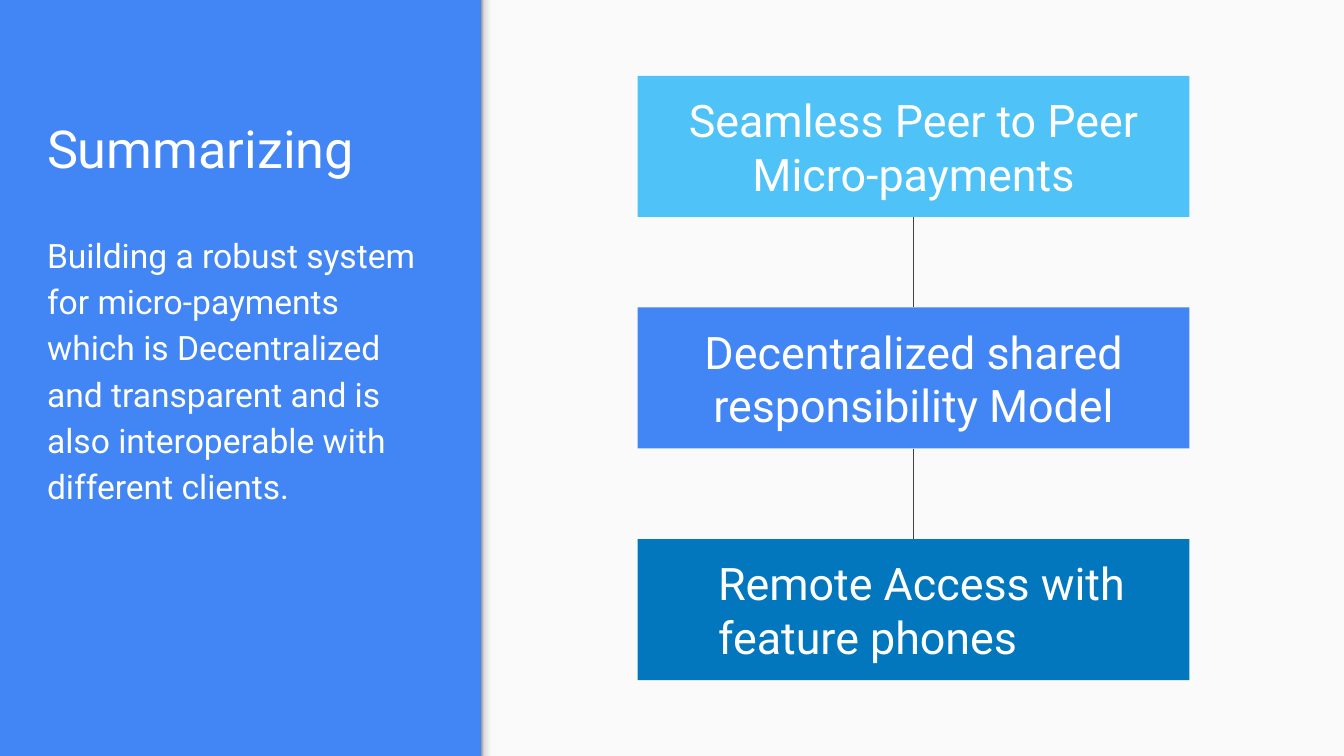
from dataclasses import dataclass

from lxml.etree import SubElement
from pptx import Presentation
from pptx.dml.color import RGBColor
from pptx.enum.shapes import MSO_CONNECTOR, MSO_SHAPE
from pptx.enum.text import MSO_ANCHOR, MSO_AUTO_SIZE, PP_ALIGN
from pptx.oxml.ns import qn
from pptx.util import Pt


@dataclass(frozen=True)
class Theme:
    font: str = "Roboto"
    title_size: int = 28
    box_size: int = 24
    body_size: int = 18
    blue: str = "4285F4"
    light_blue: str = "4FC3F7"
    dark_blue: str = "0277BD"
    panel: str = "FAFAFA"
    line: str = "424242"
    white: str = "FFFFFF"
    # Position in percent and colour, from the dark edge outwards
    edge_stops: tuple = ((0, "999999"), (20, "DEDEDE"), (64, "F9F9F9"), (100, "F9F9F9"))


THEME = Theme()
SLIDE_WIDTH, SLIDE_HEIGHT = 720, 405
PANEL_LEFT, EDGE_WIDTH = 257.8, 8.6
BOX_LEFT, BOX_TOP, BOX_WIDTH, BOX_HEIGHT = 341.6, 40.6, 295.6, 75.6
BOX_STEP = 124.1

BOXES = (
    (("Seamless Peer to Peer", "Micro-payments"), THEME.light_blue, PP_ALIGN.CENTER, 0),
    (("Decentralized shared responsibility Model",), THEME.blue, PP_ALIGN.CENTER, 0),
    (("Remote Access with feature phones",), THEME.dark_blue, PP_ALIGN.LEFT, 36),
)


def rgb(value):
    return RGBColor.from_string(value)


def write_text(shape, lines, size, anchor, alignment=PP_ALIGN.LEFT, indent=0, spacing=1.0):
    frame = shape.text_frame
    frame.word_wrap = True
    frame.auto_size = MSO_AUTO_SIZE.NONE
    frame.vertical_anchor = anchor
    frame.margin_left = frame.margin_right = Pt(7.2)
    frame.margin_top = frame.margin_bottom = Pt(7.2)
    for index, line in enumerate(lines):
        paragraph = frame.add_paragraph() if index else frame.paragraphs[0]
        properties = paragraph._p.get_or_add_pPr()
        properties.set("marL", str(Pt(indent)))
        properties.set("indent", "0")
        SubElement(properties, qn("a:buNone"))
        paragraph.alignment = alignment
        paragraph.line_spacing = spacing
        paragraph.space_before = Pt(0)
        run = paragraph.add_run()
        run.text = line
        run.font.name = THEME.font
        run.font.size = Pt(size)
        run.font.color.rgb = rgb(THEME.white)


def fill_placeholder(shape, top, height, text, size, anchor, spacing=1.0):
    shape.left, shape.top = Pt(18), Pt(top)
    shape.width, shape.height = Pt(221), Pt(height)
    write_text(shape, (text,), size, anchor, spacing=spacing)


def add_rectangle(slide, left, top, width, height, color):
    shape = slide.shapes.add_shape(
        MSO_SHAPE.RECTANGLE, Pt(left), Pt(top), Pt(width), Pt(height))
    shape.shadow.inherit = False
    shape.line.fill.background()
    shape.fill.solid()
    shape.fill.fore_color.rgb = rgb(color)
    return shape


def add_panel_edge(slide):
    edge = add_rectangle(slide, PANEL_LEFT, 0, EDGE_WIDTH, SLIDE_HEIGHT, THEME.panel)
    edge.fill.gradient()
    edge.fill.gradient_angle = 0
    stops = edge._element.spPr.find(qn("a:gradFill")).find(qn("a:gsLst"))
    for stop in list(stops):
        stops.remove(stop)
    for position, color in THEME.edge_stops:
        stop = SubElement(stops, qn("a:gs"), pos=str(position * 1000))
        SubElement(stop, qn("a:srgbClr"), val=color)


def connect_boxes(slide, upper, lower):
    connector = slide.shapes.add_connector(MSO_CONNECTOR.STRAIGHT, 0, 0, 0, 0)
    connector.begin_connect(upper, 2)
    connector.end_connect(lower, 0)
    connector.line.color.rgb = rgb(THEME.line)
    connector.line.width = Pt(0.75)
    SubElement(connector._element.spPr, qn("a:effectLst"))


def main():
    presentation = Presentation()
    presentation.slide_width, presentation.slide_height = Pt(SLIDE_WIDTH), Pt(SLIDE_HEIGHT)
    slide = presentation.slides.add_slide(presentation.slide_layouts[1])

    # Blue background with a light panel on the right
    slide.background.fill.solid()
    slide.background.fill.fore_color.rgb = rgb(THEME.blue)
    add_rectangle(slide, PANEL_LEFT, 0, SLIDE_WIDTH - PANEL_LEFT, SLIDE_HEIGHT, THEME.panel)
    add_panel_edge(slide)

    # Title and summary on the left
    fill_placeholder(slide.shapes.title, 28, 75, "Summarizing",
                     THEME.title_size, MSO_ANCHOR.BOTTOM)
    fill_placeholder(
        slide.placeholders[1], 115.2, 249,
        "Building a robust system for micro-payments which is Decentralized "
        "and transparent and is also interoperable with different clients.",
        THEME.body_size, MSO_ANCHOR.TOP, spacing=1.15)

    # Chain of three boxes
    boxes = []
    for index, (lines, color, alignment, indent) in enumerate(BOXES):
        box = add_rectangle(slide, BOX_LEFT, BOX_TOP + index * BOX_STEP,
                            BOX_WIDTH, BOX_HEIGHT, color)
        write_text(box, lines, THEME.box_size, MSO_ANCHOR.MIDDLE, alignment, indent)
        boxes.append(box)
    for upper, lower in zip(boxes, boxes[1:]):
        connect_boxes(slide, upper, lower)

    presentation.save("out.pptx")


if __name__ == "__main__":
    main()
